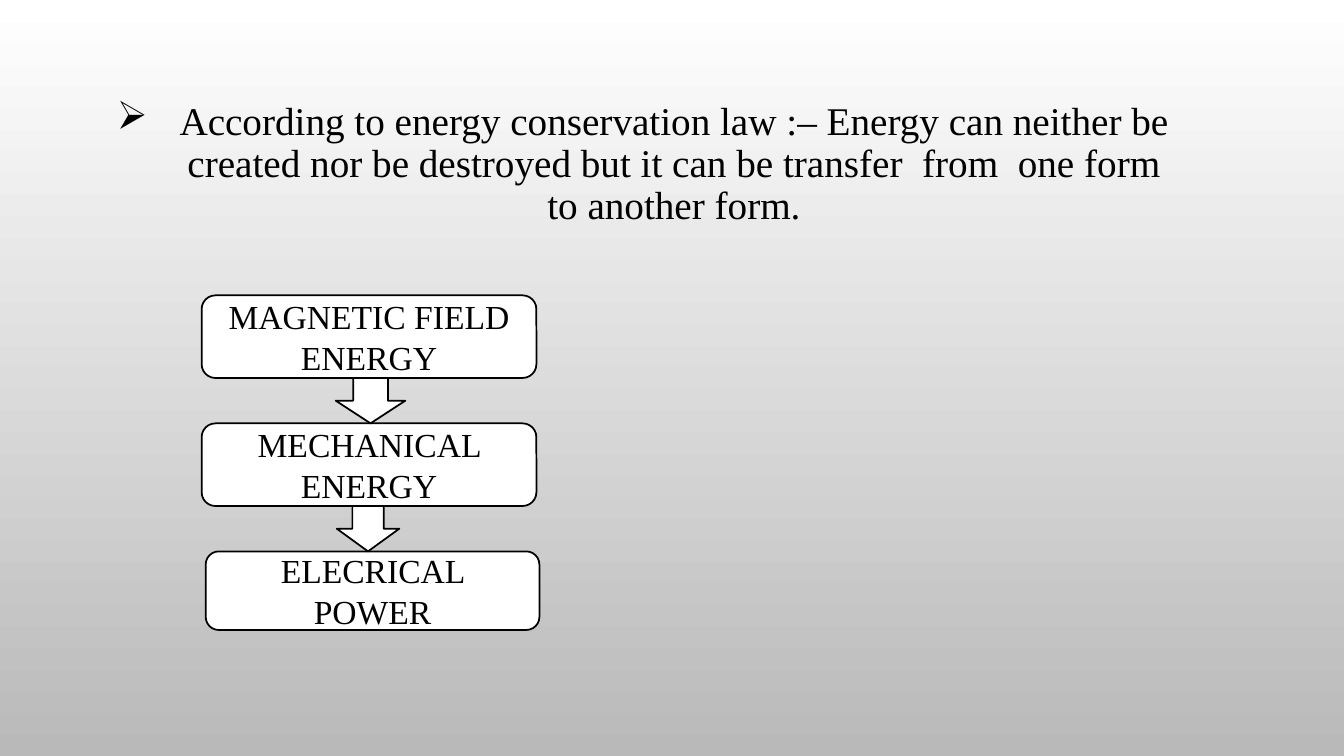
from lxml.etree import SubElement
from pptx import Presentation
from pptx.dml.color import RGBColor
from pptx.enum.shapes import MSO_SHAPE as Shape
from pptx.enum.text import MSO_ANCHOR as Anchor, MSO_AUTO_SIZE as AutoSize, PP_ALIGN as Align
from pptx.oxml.ns import qn
from pptx.util import Inches, Pt

COLORS = {"ink": "000000", "box": "FFFFFF", "sky": "FFFFFF", "ground": "B9B9B9"}


def color(name):
    return RGBColor.from_string(COLORS[name])


class SlideBuilder:
    font_name = "Times New Roman"
    outline = Pt(1.25)

    def __init__(self, slide):
        self.slide = slide

    def background(self, top, bottom):
        fill = self.slide.background.fill
        fill.gradient()
        fill.gradient_angle = 270
        for stop, position, name in zip(fill.gradient_stops, (0, 1), (top, bottom)):
            stop.position = position
            stop.color.rgb = color(name)

    def set_text(self, frame, text, size, line_spacing=None):
        frame_format = {"word_wrap": True, "auto_size": AutoSize.NONE,
                        "vertical_anchor": Anchor.MIDDLE}
        for key, value in frame_format.items():
            setattr(frame, key, value)
        frame.text = text
        paragraph = frame.paragraphs[0]
        paragraph.alignment = Align.CENTER
        paragraph.line_spacing = line_spacing
        font = paragraph.runs[0].font
        for key, value in {"name": self.font_name, "size": Pt(size)}.items():
            setattr(font, key, value)
        font.color.rgb = color("ink")
        return paragraph

    def title(self, text, place, bullet, indent):
        law = self.slide.shapes.title
        for key, value in zip(("left", "top", "width", "height"), place):
            setattr(law, key, Inches(value))
        paragraph = self.set_text(law.text_frame, text, 28, 0.9)
        properties = paragraph._p.get_or_add_pPr()
        properties.set("marL", str(Inches(indent)))
        properties.set("indent", str(-Inches(indent)))
        SubElement(properties, qn("a:buChar"), char=bullet)

    def shape(self, kind, place, text=None):
        item = self.slide.shapes.add_shape(kind, *map(Inches, place))
        item.shadow.inherit = False
        item.fill.solid()
        item.fill.fore_color.rgb = color("box")
        item.line.color.rgb = color("ink")
        item.line.width = self.outline
        if text:
            self.set_text(item.text_frame, text, 24)


def main():
    deck = Presentation()
    deck.slide_width, deck.slide_height = Inches(13.33), Inches(7.5)
    builder = SlideBuilder(deck.slides.add_slide(deck.slide_layouts[5]))
    builder.background("sky", "ground")

    # Energy conservation law
    builder.title(
        "According to energy conservation law :– Energy can neither be created nor be "
        "destroyed but it can be transfer  from  one form to another form.",
        (0.96, 0.68, 10.83, 1.91), bullet="➢", indent=0.62)

    # Energy stages, one step apart
    first_top, step = 2.93, 1.27
    stages = [("MAGNETIC FIELD ENERGY", 2, 3.32, 0.82),
              ("MECHANICAL ENERGY", 2, 3.32, 0.82),
              ("ELECRICAL POWER", 2.04, 3.31, 0.78)]
    for row, (stage, left, width, height) in enumerate(stages):
        builder.shape(Shape.ROUNDED_RECTANGLE,
                      (left, first_top + row * step, width, height), stage)

    # Arrows filling the gaps between stages
    for row, (left, width) in enumerate([(3.33, 0.69), (3.34, 0.62)]):
        stage_height = stages[row][3]
        builder.shape(Shape.DOWN_ARROW, (left, first_top + row * step + stage_height,
                                         width, step - stage_height))

    deck.save("out.pptx")


if __name__ == "__main__":
    main()
